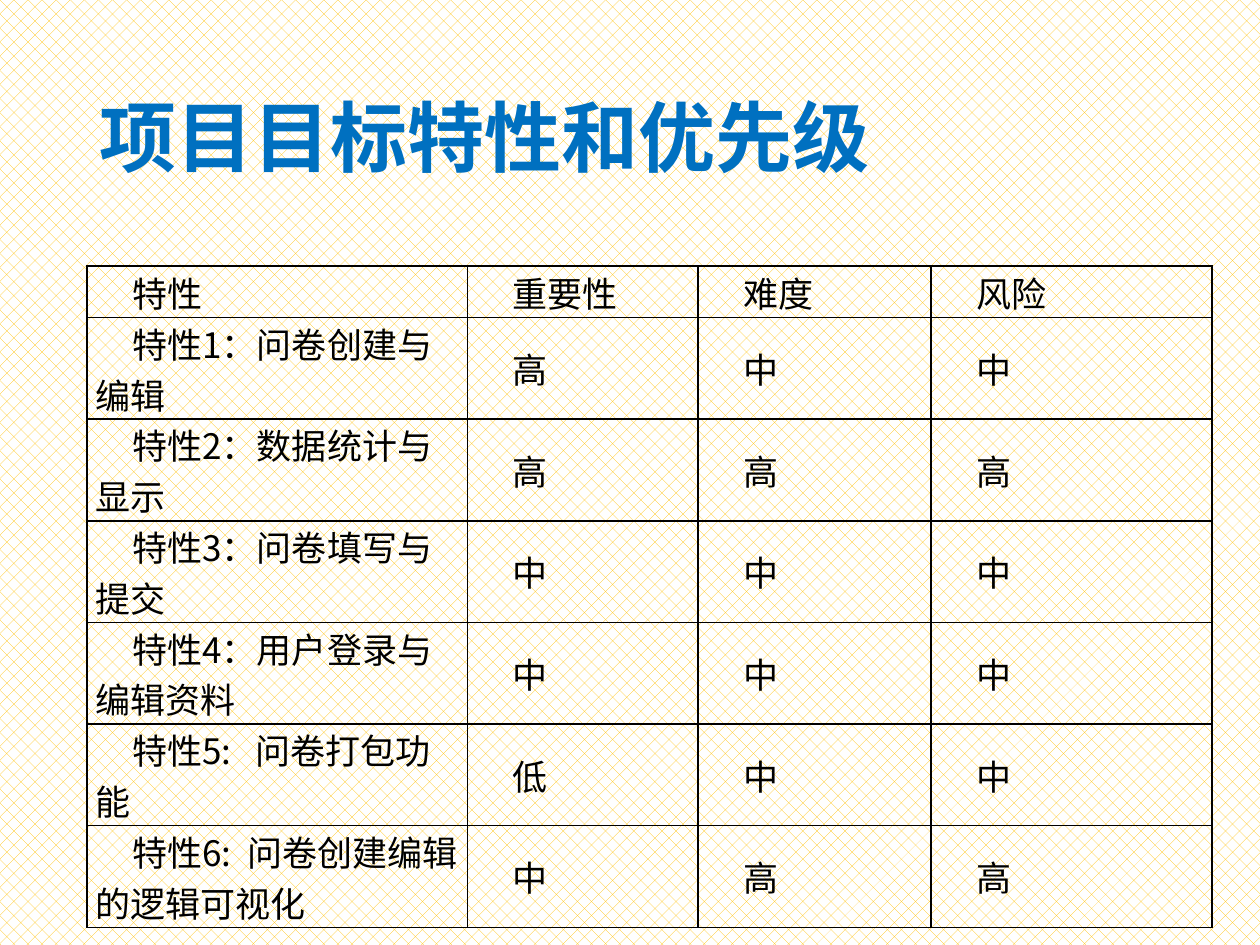
"""Builds the slide on project features and their priorities."""
from lxml.etree import SubElement
from pptx import Presentation
from pptx.dml.color import RGBColor
from pptx.enum.dml import MSO_PATTERN
from pptx.enum.text import MSO_ANCHOR, PP_ALIGN
from pptx.oxml import parse_xml
from pptx.oxml.ns import nsdecls, qn
from pptx.util import Inches, Pt

TITLE = "项目目标特性和优先级"
ROWS = [
    ("特性", "重要性", "难度", "风险"),
    ("特性1：问卷创建与编辑", "高", "中", "中"),
    ("特性2：数据统计与显示", "高", "高", "高"),
    ("特性3：问卷填写与提交", "中", "中", "中"),
    ("特性4：用户登录与编辑资料", "中", "中", "中"),
    ("特性5:   问卷打包功能", "低", "中", "中"),
    ("特性6:  问卷创建编辑的逻辑可视化", "中", "高", "高"),
]
COLS = (3.02, 1.83, 1.85, 2.23)
LEFT, TOP, ROW_H = 0.69, 2.11, 0.41
FONT = "Noto Sans CJK SC"
BLUE = RGBColor(0x00, 0x70, 0xC0)
BLACK = RGBColor(0, 0, 0)
GOLD = RGBColor(0xFF, 0xC0, 0x00)
WHITE = RGBColor(0xFF, 0xFF, 0xFF)


def write(par, text, size, color, bold=False):
    run = par.add_run()
    run.text = text
    font = run.font
    font.name, font.size, font.bold = FONT, Pt(size), bold
    font.color.rgb = color
    SubElement(font._element, qn("a:ea")).set("typeface", FONT)


def edge(cell):
    props = cell._tc.get_or_add_tcPr()
    for i, side in enumerate("LRTB"):
        props.insert(i, parse_xml(
            f'<a:ln{side} {nsdecls("a")} w="{Pt(1)}"><a:solidFill>'
            f'<a:srgbClr val="{BLACK}"/></a:solidFill></a:ln{side}>'))


def fill_cell(cell, text):
    cell.fill.background()
    edge(cell)
    cell.vertical_anchor = MSO_ANCHOR.MIDDLE
    cell.margin_left = cell.margin_right = Inches(0.07)
    cell.margin_top = cell.margin_bottom = 0
    par = cell.text_frame.paragraphs[0]
    par._p.get_or_add_pPr().set("indent", str(Inches(0.29)))
    write(par, text, 20, BLACK)


deck = Presentation()
deck.slide_width, deck.slide_height = Inches(10), Inches(7.5)
slide = deck.slides.add_slide(deck.slide_layouts[5])
back = slide.background.fill
back.patterned()
back.pattern = MSO_PATTERN.PERCENT_25
back.fore_color.rgb, back.back_color.rgb = GOLD, WHITE

title = slide.shapes.title
title.left, title.top, title.width, title.height = map(
    Inches, (LEFT, 0.4, 10 - 2 * LEFT, 1.45))
title.text_frame.vertical_anchor = MSO_ANCHOR.MIDDLE
head = title.text_frame.paragraphs[0]
head.alignment, head.line_spacing = PP_ALIGN.LEFT, 0.9
write(head, TITLE, 44, BLUE, True)

table = slide.shapes.add_table(
    len(ROWS), len(COLS), Inches(LEFT), Inches(TOP),
    Inches(sum(COLS)), Inches(ROW_H * len(ROWS))).table
table.first_row = table.horz_banding = False
for col, width in zip(table.columns, COLS):
    col.width = Inches(width)
for row, texts in zip(table.rows, ROWS):
    row.height = Inches(ROW_H)
    for cell, text in zip(row.cells, texts):
        fill_cell(cell, text)

deck.save("out.pptx")
